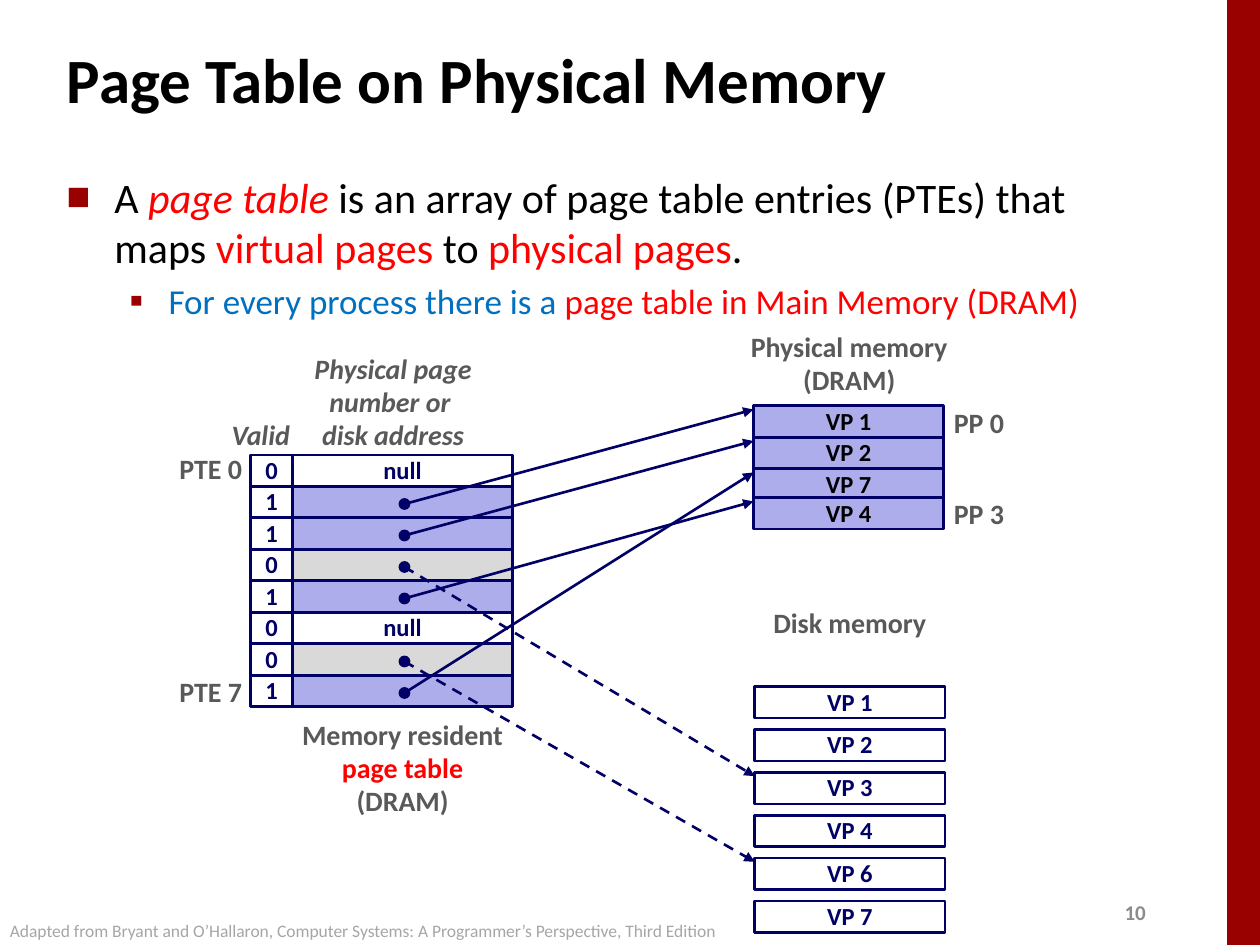
from lxml import etree
from pptx import Presentation
from pptx import util as u
from pptx.dml import color
from pptx.enum import dml, shapes, text
from pptx.oxml import ns

NAVY, LILAC, GREY, WHITE = "000066", "ADADEB", "D9D9D9", "FFFFFF"
BLACK, RED, DIM, CRIMSON = "000000", "FF0000", "595959", "990000"
ROW = 0.25
ALIGN = {"l": text.PP_ALIGN.LEFT, "c": text.PP_ALIGN.CENTER, "r": text.PP_ALIGN.RIGHT}
RECT, OVAL = shapes.MSO_SHAPE.RECTANGLE, shapes.MSO_SHAPE.OVAL
TOP, MIDDLE = text.MSO_ANCHOR.TOP, text.MSO_ANCHOR.MIDDLE


def rgb(code):
    """Turn a hex string into a colour."""
    return color.RGBColor.from_string(code)


def inches(*sizes):
    """Turn numbers into lengths."""
    return [u.Inches(size) for size in sizes]


def write(shape, lines, size=16, hue=DIM, bold=True, italic=False,
          align="c", anchor=TOP, wrap=False, space=0.98):
    """Fill a shape with lines, each a string or a list of (words, changes)."""
    frame = shape.text_frame
    frame.word_wrap, frame.vertical_anchor = wrap, anchor
    for i, line in enumerate(lines):
        para = frame.add_paragraph() if i else frame.paragraphs[0]
        para.alignment, para.line_spacing = ALIGN[align], space
        for words, change in [(line, {})] if isinstance(line, str) else line:
            look = {"size": size, "hue": hue, "bold": bold, "italic": italic, **change}
            run = para.add_run()
            run.text = words
            font = run.font
            font.name, font.size = "Calibri", u.Pt(look["size"])
            font.bold, font.italic = look["bold"], look["italic"]
            font.color.rgb = rgb(look["hue"])
    return frame


def label(slide, box, *lines, **look):
    """Add a text box."""
    return write(slide.shapes.add_textbox(*inches(*box)), lines, **look)


def block(slide, box, fill=None, line=NAVY, width=1.5, kind=RECT, words="", hue=NAVY):
    """Add a filled, outlined shape with optional centred words."""
    shape = slide.shapes.add_shape(kind, *inches(*box))
    shape.shadow.inherit = False
    if fill:
        shape.fill.solid()
        shape.fill.fore_color.rgb = rgb(fill)
    else:
        shape.fill.background()
    if line:
        shape.line.color.rgb = rgb(line)
        shape.line.width = u.Pt(width)
    else:
        shape.line.fill.background()
    if words:
        write(shape, [words], size=14, hue=hue, anchor=MIDDLE)
    return shape


def arrow(slide, dot, cell, dashed):
    """Draw an arrow from a dot to the upper left edge of a cell."""
    line = slide.shapes.add_connector(
        shapes.MSO_CONNECTOR.STRAIGHT, dot.left + dot.width // 2,
        dot.top + dot.height // 2, cell.left, cell.top + u.Inches(0.03))
    line.line.color.rgb = rgb(NAVY)
    line.line.width = u.Pt(1.5)
    if dashed:
        line.line.dash_style = dml.MSO_LINE.DASH
    etree.SubElement(line.line._get_or_add_ln(), ns.qn("a:tailEnd"), type="triangle")
    etree.SubElement(line._element.spPr, ns.qn("a:effectLst"))


def bullet(para, mark, size, left, hang, before):
    """Give a paragraph a coloured bullet and a hanging indent."""
    props = para._p.get_or_add_pPr()
    props.set("marL", str(u.Inches(left)))
    props.set("indent", str(-u.Inches(hang)))
    para.space_before = u.Pt(before)
    tint = etree.SubElement(props, ns.qn("a:buClr"))
    etree.SubElement(tint, ns.qn("a:srgbClr"), val=CRIMSON)
    etree.SubElement(props, ns.qn("a:buSzPct"), val=str(size * 1000))
    etree.SubElement(props, ns.qn("a:buFont"), typeface="Calibri")
    etree.SubElement(props, ns.qn("a:buChar"), char=mark)


def heading(slide, box):
    """Place and format the title."""
    title = slide.shapes.title
    title.left, title.top, title.width, title.height = inches(*box)
    write(title, ["Page Table on Physical Memory"], size=36, hue=BLACK,
          align="l", anchor=MIDDLE, wrap=True, space=1.0)


def points(slide, box):
    """Write the bulleted text."""
    red = {"hue": RED}
    frame = label(
        slide, box,
        [("A ", {}), ("page table ", {"hue": RED, "italic": True}),
         ("is an array of page table entries (PTEs) that maps ", {}),
         ("virtual pages ", red), ("to ", {}), ("physical pages", red), (".", {})],
        [("For every process there is a ", {"size": 20, "hue": "0070C0"}),
         ("page table in Main Memory (DRAM)", {"size": 20, "hue": RED})],
        size=24, hue=BLACK, bold=False, align="l", wrap=True, space=1.0)
    first, second = frame.paragraphs
    bullet(first, "■", 60, 0.38, 0.38, 5)
    second.level = 1
    bullet(second, "▪", 110, 0.81, 0.31, 4)


def table(slide, left, top):
    """Draw the page table and return its dots by row."""
    fills = {"null": WHITE, "memory": LILAC, "disk": GREY}
    rows = ["null", "memory", "memory", "disk", "memory", "null", "disk", "memory"]
    dots = {}
    for i, place in enumerate(rows):
        y = top + i * ROW
        block(slide, (left + 0.33, y, 1.75, ROW), fills[place],
              words="null" if place == "null" else "")
        block(slide, (left, y, 0.33, ROW), words="1" if place == "memory" else "0")
        if place != "null":
            dots[i] = block(slide, (left + 1.18, y + 0.1, 0.08, 0.08), NAVY,
                            width=1, kind=OVAL)
    label(slide, (left - 0.25, top - 0.33, 0.75, 0.37), "Valid", italic=True, align="l")
    label(slide, (left + 0.4, top - 0.86, 1.46, 0.89), "Physical page", "number or ",
          "disk address", italic=True, anchor=MIDDLE)
    for name, y in (("PTE 0", top - 0.07), ("PTE 7", top + 1.7)):
        label(slide, (left - 0.67, y, 0.7, 0.37), name, align="r", anchor=MIDDLE)
    label(slide, (left + 0.28, top + 2.05, 1.85, 0.89), "Memory resident",
          [("page table", {"hue": RED})], "(DRAM)")
    return dots


def memory(slide, left, top):
    """Draw the physical memory and return its cells by page."""
    label(slide, (left - 0.13, top - 0.64, 1.78, 0.63), "Physical memory", "(DRAM)")
    for name, y in (("PP 0", top - 0.04), ("PP 3", top + 0.68)):
        label(slide, (left + 1.49, y, 0.6, 0.37), name, anchor=MIDDLE)
    steps = {1: 0, 2: 0.25, 7: 0.5, 4: 0.73}
    return {page: block(slide, (left, top + step, 1.51, ROW), LILAC,
                        words=f"VP {page}", hue=BLACK)
            for page, step in steps.items()}


def disk(slide, left, top):
    """Draw the disk memory and return its cells by page."""
    label(slide, (left + 0.04, top - 0.68, 1.43, 0.37), "Disk memory")
    return {page: block(slide, (left, top + i * 0.34, 1.51, ROW), WHITE,
                        words=f"VP {page}")
            for i, page in enumerate((1, 2, 3, 4, 6, 7))}


def main():
    """Build the slide."""
    deck = Presentation()
    deck.slide_width, deck.slide_height = inches(10, 7.5)
    slide = deck.slides.add_slide(deck.slide_layouts[5])
    block(slide, (9.74, 0, 0.26, 7.5), CRIMSON, line=None)
    label(slide, (8.81, 7.1, 0.4, 0.3), "10", size=12, hue="8C8C8C", anchor=MIDDLE)
    heading(slide, (0.43, 0.21, 8.3, 0.83))
    points(slide, (0.43, 1.31, 8.64, 1.3))
    dots = table(slide, 1.99, 3.61)
    ram = memory(slide, 5.98, 3.22)
    store = disk(slide, 5.99, 5.45)
    for row, cells, page in ((1, ram, 1), (2, ram, 2), (3, store, 3),
                             (4, ram, 4), (6, store, 6), (7, ram, 7)):
        arrow(slide, dots[row], cells[page], cells is store)
    label(slide, (-0.02, 7.25, 5.95, 0.27),
          "Adapted from Bryant and O’Hallaron, Computer Systems: "
          "A Programmer’s Perspective, Third Edition",
          size=10, hue="A6A6A6", bold=False, align="l", space=1.0)
    deck.save("out.pptx")


if __name__ == "__main__":
    main()
